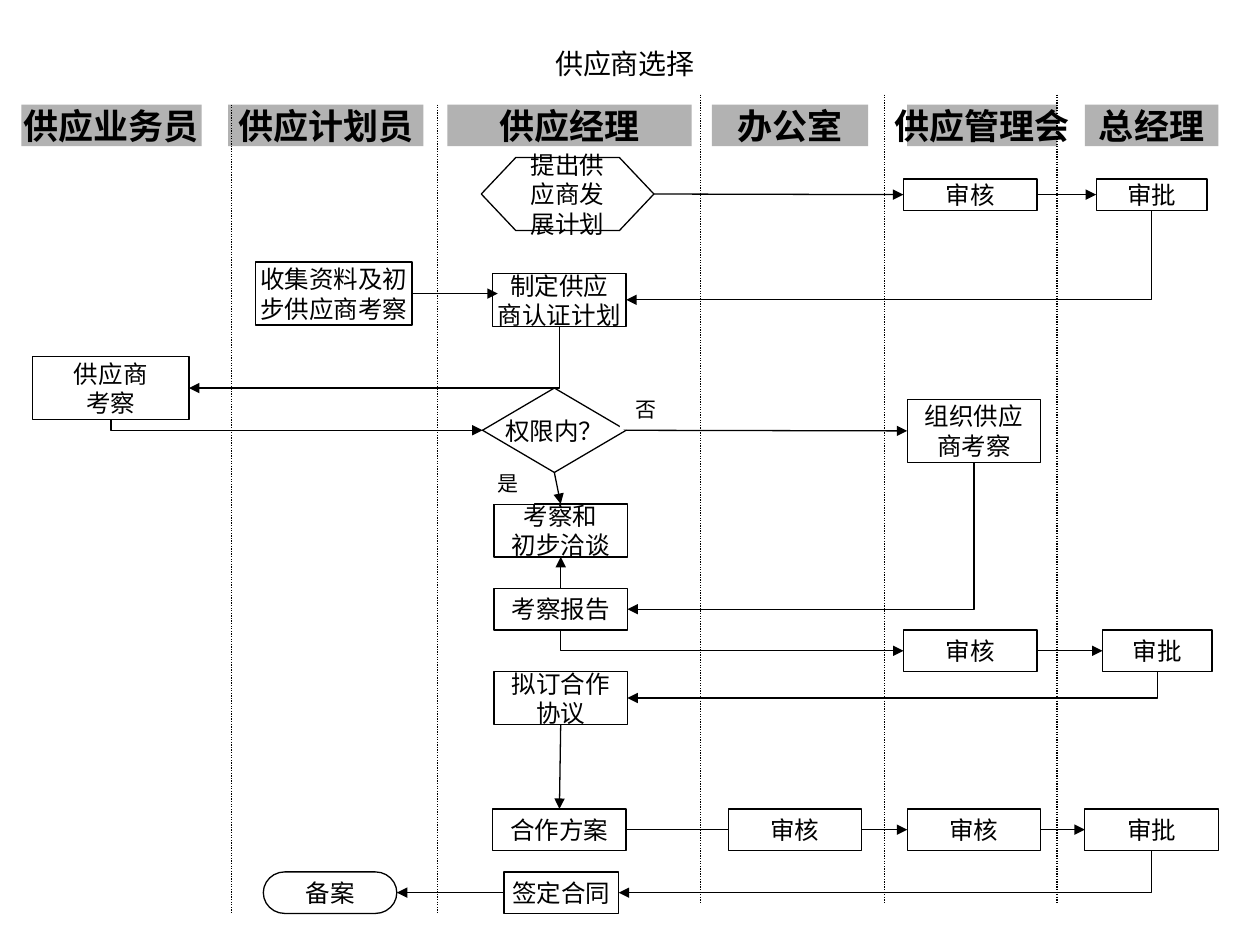
from lxml import etree
from pptx import Presentation
from pptx.dml.color import RGBColor
from pptx.enum.dml import MSO_LINE
from pptx.enum.shapes import MSO_CONNECTOR, MSO_SHAPE
from pptx.enum.text import MSO_ANCHOR, PP_ALIGN
from pptx.oxml.ns import qn
from pptx.util import Inches, Pt

RECT = MSO_SHAPE.RECTANGLE
PREPARATION = MSO_SHAPE.FLOWCHART_PREPARATION
TERMINATOR = MSO_SHAPE.FLOWCHART_TERMINATOR
DIAMOND = MSO_SHAPE.DIAMOND
STRAIGHT, ELBOW = MSO_CONNECTOR.STRAIGHT, MSO_CONNECTOR.ELBOW
DOTTED = MSO_LINE.ROUND_DOT
CENTER, MIDDLE = PP_ALIGN.CENTER, MSO_ANCHOR.MIDDLE
TOP, LEFT, BOTTOM, RIGHT = range(4)

FONT = "Times New Roman"
COLORS = {"ink": "000000", "paper": "FFFFFF", "band": "B2B2B2"}

LANES = [
    ("供应业务员", 0.17, 1.43), ("供应计划员", 1.81, 1.55), ("供应经理", 3.55, 1.94),
    ("办公室", 5.65, 1.24), ("供应管理会", 7.2, 1.19), ("总经理", 8.61, 1.06),
]
DIVIDERS = [(1.84, 0.83), (3.47, 0.83), (5.56, 0.75), (7.02, 0.75), (8.39, 0.75)]

STEPS = {
    "plan": ("提出供应商发展计划", (3.82, 1.25, 1.37, 0.58), PREPARATION),
    "plan_review": ("审核", (7.17, 1.42, 1.06, 0.25), RECT),
    "plan_approval": ("审批", (8.7, 1.42, 0.88, 0.25), RECT),
    "research": ("收集资料及初\n步供应商考察", (2.03, 2.08, 1.24, 0.5), RECT),
    "certification": ("制定供应\n商认证计划", (3.91, 2.17, 1.06, 0.42), RECT),
    "inspection": ("供应商\n考察", (0.26, 2.83, 1.24, 0.5), RECT),
    "authority": ("权限内？", (3.83, 3.08, 1.14, 0.67), DIAMOND),
    "committee": ("组织供应\n商考察", (7.2, 3.17, 1.06, 0.5), RECT),
    "talks": ("考察和\n初步洽谈", (3.92, 4, 1.06, 0.42), RECT),
    "report": ("考察报告", (3.92, 4.67, 1.06, 0.33), RECT),
    "report_review": ("审核", (7.17, 5, 1.06, 0.33), RECT),
    "report_approval": ("审批", (8.75, 5, 0.87, 0.33), RECT),
    "agreement": ("拟订合作\n协议", (3.92, 5.33, 1.06, 0.42), RECT),
    "scheme": ("合作方案", (3.91, 6.42, 1.06, 0.33), RECT),
    "scheme_review": ("审核", (7.2, 6.42, 1.06, 0.33), RECT),
    "scheme_approval": ("审批", (8.61, 6.42, 1.06, 0.33), RECT),
    "contract": ("签定合同", (4, 6.92, 0.91, 0.33), RECT),
    "filing": ("备案", (2.09, 6.92, 1.06, 0.33), TERMINATOR),
}
OFFICE_REVIEW = ("审核", (5.78, 6.42, 1.06, 0.33), RECT)
ANSWERS = [("是", (3.83, 3.67, 0.41, 0.33)), ("否", (4.92, 3.08, 0.41, 0.33))]

STRAIGHT_FLOWS = [
    ("plan", RIGHT, "plan_review", LEFT),
    ("plan_review", RIGHT, "plan_approval", LEFT),
    ("authority", RIGHT, "committee", LEFT),
    ("authority", BOTTOM, "talks", TOP),
    ("report", TOP, "talks", BOTTOM),
    ("report_review", RIGHT, "report_approval", LEFT),
    ("agreement", BOTTOM, "scheme", TOP),
    ("scheme", RIGHT, "scheme_review", LEFT),
    ("scheme_review", RIGHT, "scheme_approval", LEFT),
    ("contract", LEFT, "filing", RIGHT),
]
ELBOW_FLOWS = [
    ("plan_approval", "certification", RIGHT),
    ("certification", "inspection", RIGHT),
    ("inspection", "authority", LEFT),
    ("committee", "report", RIGHT),
    ("report", "report_review", LEFT),
    ("report_approval", "agreement", RIGHT),
    ("scheme_approval", "contract", RIGHT),
]


def color(name):
    """Return the named colour."""
    return RGBColor.from_string(COLORS[name])


def write(shape, text, size=14, bold=False, wrap=False):
    """Fill a shape with centred paragraphs, one for each line of text."""
    frame = shape.text_frame
    frame.word_wrap = wrap
    frame.vertical_anchor = MIDDLE
    frame.text = text
    for para in frame.paragraphs:
        para.alignment = CENTER
        para.font.name = FONT
        para.font.size = Pt(size)
        para.font.bold = bold
        para.font.color.rgb = color("ink")


def add_box(page, text, box, kind=RECT, fill="paper", outlined=True, **text_format):
    """Add one filled shape with its text."""
    shape = page.shapes.add_shape(kind, *map(Inches, box))
    shape.shadow.inherit = False
    shape.fill.solid()
    shape.fill.fore_color.rgb = color(fill)
    if outlined:
        shape.line.color.rgb = color("ink")
        shape.line.width = Pt(0.75)
    else:
        shape.line.fill.background()
    write(shape, text, **text_format)
    return shape


def add_line(page, kind, start=(0, 0), end=(0, 0), arrow=True):
    """Add a thin black connector without a shadow."""
    line = page.shapes.add_connector(kind, *map(Inches, start + end))
    line.line.color.rgb = color("ink")
    line.line.width = Pt(0.75)
    etree.SubElement(line._element.spPr, qn("a:effectLst"))
    if arrow:
        etree.SubElement(line.line._get_or_add_ln(), qn("a:tailEnd"), type="triangle")
    return line


def add_flow(page, source, source_side, target, target_side, kind=STRAIGHT):
    """Join two steps with an arrow."""
    line = add_line(page, kind)
    line.begin_connect(source, source_side)
    line.end_connect(target, target_side)
    return line


def add_elbow(page, source, target, side):
    """Join two steps with an arrow that runs down and then sideways."""
    line = add_flow(page, source, BOTTOM, target, side, kind=ELBOW)
    across = line.end_x - line.begin_x
    down = line.end_y - line.begin_y
    middle_x = (line.begin_x + line.end_x) // 2
    middle_y = (line.begin_y + line.end_y) // 2
    line.left, line.top = middle_x - down // 2, middle_y - abs(across) // 2
    line.width, line.height = down, abs(across)
    transform = line._element.spPr.find(qn("a:xfrm"))
    for name in ("flipH", "flipV"):
        transform.attrib.pop(name, None)
    transform.set("rot", str((270 if across > 0 else 90) * 60000))
    if across > 0:
        transform.set("flipH", "1")
    line._element.spPr.find(qn("a:prstGeom")).set("prst", "bentConnector2")


def add_title(page, box):
    """Add the slide title."""
    title = page.shapes.add_textbox(*map(Inches, box))
    write(title, "供应商选择", size=16, wrap=True)


def add_lanes(page, top, height, length):
    """Add the lane headings and the dotted dividers between them."""
    for name, left, width in LANES:
        add_box(page, name, (left, top, width, height), fill="band",
                outlined=False, size=20, bold=True)
    for x, y in DIVIDERS:
        divider = add_line(page, STRAIGHT, (x, y), (x, y + length), arrow=False)
        divider.line.dash_style = DOTTED


def add_flowchart(page):
    """Add the steps, the answers and the arrows between them."""
    steps = {
        name: add_box(page, text, box, kind, wrap=kind == PREPARATION)
        for name, (text, box, kind) in STEPS.items()
    }
    for text, box in ANSWERS:
        add_box(page, text, box, outlined=False, size=12)
    for source, source_side, target, target_side in STRAIGHT_FLOWS:
        add_flow(page, steps[source], source_side, steps[target], target_side)
    for source, target, side in ELBOW_FLOWS:
        add_elbow(page, steps[source], steps[target], side)
    research_flow = add_line(page, STRAIGHT, (3.27, 2.33), (3.95, 2.33))
    research_flow.begin_connect(steps["research"], RIGHT)
    add_box(page, *OFFICE_REVIEW)


def main():
    """Build and save the deck."""
    deck = Presentation()
    deck.slide_width, deck.slide_height = Inches(10), Inches(7.5)
    page = deck.slides.add_slide(deck.slide_layouts[6])
    add_title(page, (2, 0.17, 5.92, 0.67))
    add_lanes(page, top=0.83, height=0.33, length=6.42)
    add_flowchart(page)
    deck.save("out.pptx")


if __name__ == "__main__":
    main()
